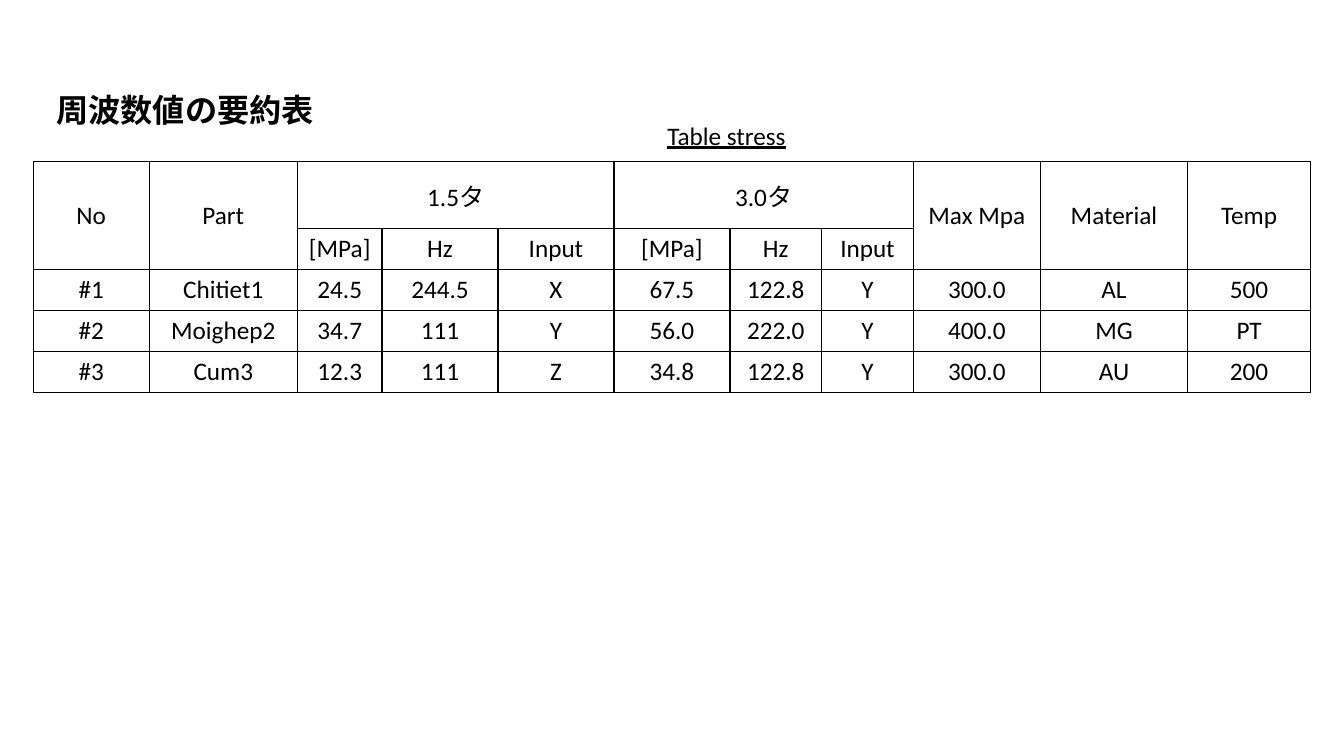
from dataclasses import dataclass

from lxml.etree import SubElement
from pptx import Presentation
from pptx.dml.color import RGBColor
from pptx.enum.text import MSO_ANCHOR, PP_ALIGN
from pptx.oxml.ns import qn
from pptx.slide import Slide
from pptx.table import Table, _Cell
from pptx.util import Inches, Pt


@dataclass(frozen=True)
class Theme:
    ink: RGBColor = RGBColor(0, 0, 0)
    body_font: str = "Calibri"
    title_font: str = "Arial"
    body_size: Pt = Pt(18)
    title_size: Pt = Pt(23)
    border: Pt = Pt(1)


@dataclass(frozen=True)
class Label:
    text: str
    left: float
    top: float
    width: float
    height: float
    font: str
    size: Pt
    bold: bool = False
    underline: bool = False
    wrap: bool = True


@dataclass(frozen=True)
class Span:
    row: int
    column: int
    last_row: int
    last_column: int


THEME = Theme()

LABELS = [
    Label("周波数値の要約表", 0.46, 0.85, 2.78, 0.49,
          THEME.title_font, THEME.title_size, bold=True, wrap=False),
    Label("Table stress", 6.52, 1.14, 1.38, 0.4,
          THEME.body_font, THEME.body_size, underline=True),
]

COLUMN_WIDTHS = [1.15, 1.47, 0.84, 1.15, 1.15, 1.15, 0.91, 0.91, 1.26, 1.46, 1.22]
ROW_HEIGHTS = [0.67] + [0.39] * 4
MEASURES = ["[MPa]", "Hz", "Input"]
ROWS = [
    ["No", "Part", "1.5タ", "", "", "3.0タ", "", "", "Max Mpa", "Material", "Temp"],
    ["", "", *MEASURES, *MEASURES, "", "", ""],
    ["#1", "Chitiet1", "24.5", "244.5", "X", "67.5", "122.8", "Y", "300.0", "AL", "500"],
    ["#2", "Moighep2", "34.7", "111", "Y", "56.0", "222.0", "Y", "400.0", "MG", "PT"],
    ["#3", "Cum3", "12.3", "111", "Z", "34.8", "122.8", "Y", "300.0", "AU", "200"],
]
SPANS = [Span(0, column, 1, column) for column in (0, 1, 8, 9, 10)]
SPANS += [Span(0, column, 0, column + 2) for column in (2, 5)]


def add_label(slide: Slide, label: Label) -> None:
    box = slide.shapes.add_textbox(Inches(label.left), Inches(label.top),
                                   Inches(label.width), Inches(label.height))
    box.text_frame.word_wrap = label.wrap
    paragraph = box.text_frame.paragraphs[0]
    paragraph.text = label.text
    font = paragraph.font
    font.name, font.size = label.font, label.size
    font.bold, font.underline = label.bold, label.underline
    font.color.rgb = THEME.ink


def add_borders(cell: _Cell) -> None:
    properties = cell._tc.get_or_add_tcPr()
    for side in ("lnL", "lnR", "lnT", "lnB"):
        line = SubElement(properties, qn(f"a:{side}"), w=str(int(THEME.border)))
        fill = SubElement(line, qn("a:solidFill"))
        SubElement(fill, qn("a:srgbClr"), val=str(THEME.ink))


def fill_cell(cell: _Cell, text: str) -> None:
    add_borders(cell)
    cell.fill.background()
    cell.vertical_anchor = MSO_ANCHOR.MIDDLE
    paragraph = cell.text_frame.paragraphs[0]
    paragraph.text = text
    paragraph.alignment = PP_ALIGN.CENTER
    paragraph.font.name = THEME.body_font
    paragraph.font.size = THEME.body_size
    paragraph.font.color.rgb = THEME.ink


def add_stress_table(slide: Slide) -> Table:
    table = slide.shapes.add_table(
        len(ROWS), len(COLUMN_WIDTHS), Inches(0.33), Inches(1.6),
        Inches(sum(COLUMN_WIDTHS)), Inches(sum(ROW_HEIGHTS))).table
    table.first_row = table.horz_banding = False
    for column, width in zip(table.columns, COLUMN_WIDTHS):
        column.width = Inches(width)
    for row, height, texts in zip(table.rows, ROW_HEIGHTS, ROWS):
        row.height = Inches(height)
        for cell, text in zip(row.cells, texts):
            fill_cell(cell, text)
    for span in SPANS:
        table.cell(span.row, span.column).merge(
            table.cell(span.last_row, span.last_column))
    return table


presentation = Presentation()
presentation.slide_width = Inches(13.33)
presentation.slide_height = Inches(7.5)
slide = presentation.slides.add_slide(presentation.slide_layouts[6])

# Stress table
add_stress_table(slide)

# Title and table caption
for label in LABELS:
    add_label(slide, label)

presentation.save("out.pptx")
